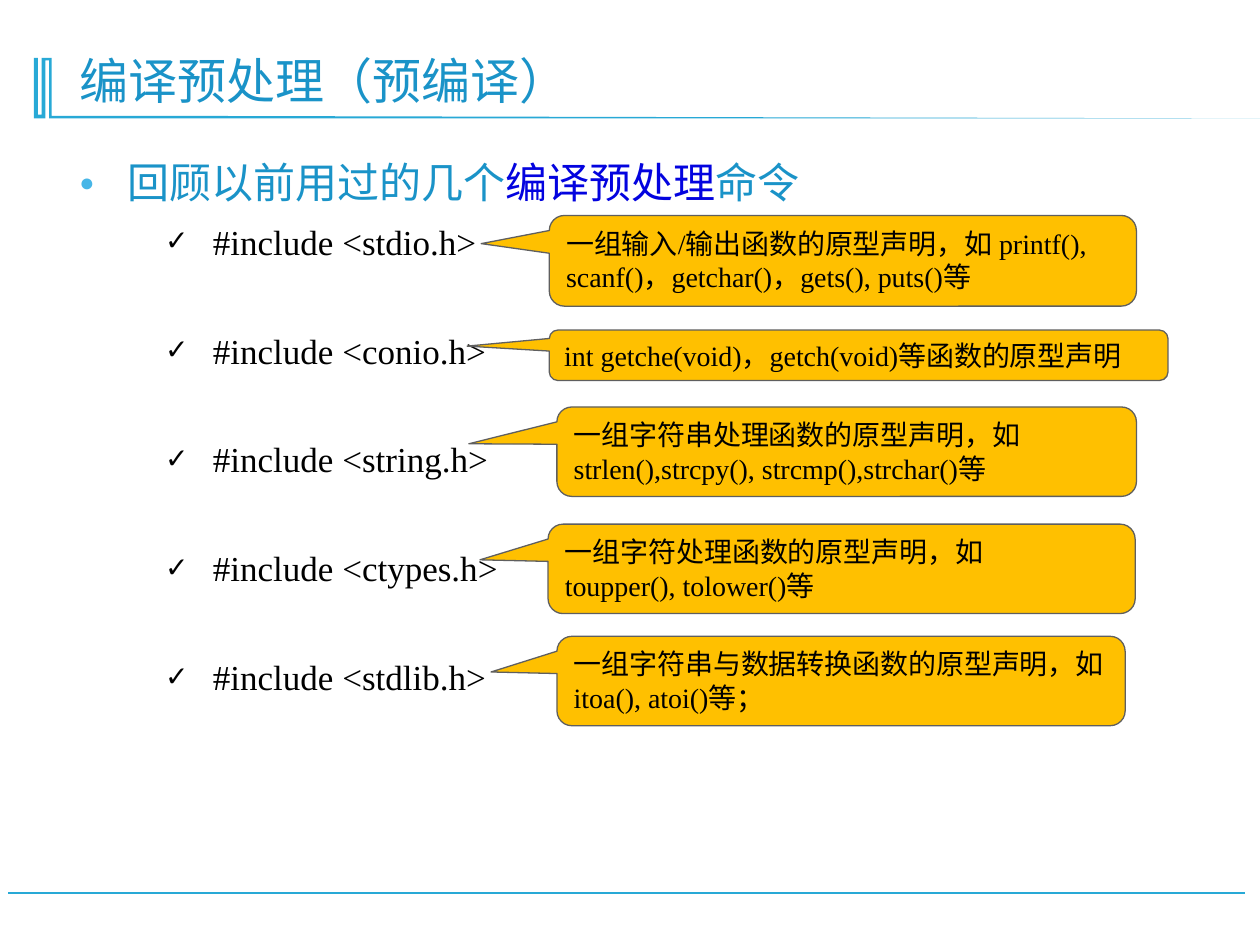
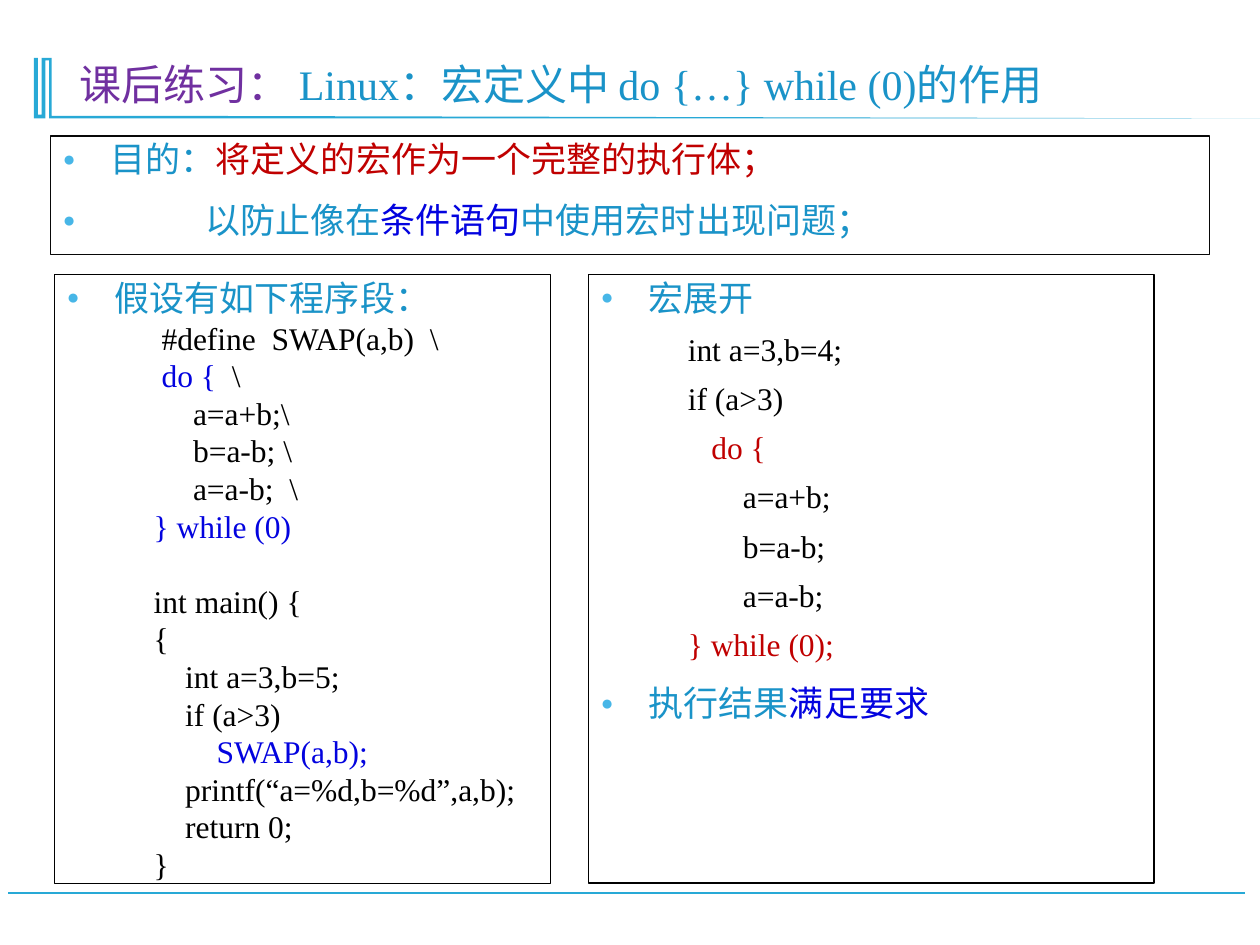
from lxml import etree
from pptx import Presentation
from pptx.dml.color import RGBColor
from pptx.enum import shapes, text
from pptx.oxml import ns
from pptx.util import Inches, Pt

COLORS = {
    "band": "28A9D6", "heading": "1A93C8", "bullet": "47B6E7", "code": "000000",
    "blue": "0303DF", "red": "C00000", "purple": "7030A0",
    "callout": "FFC000", "callout_edge": "5F5F5F", "goal_edge": "080808",
}
FONT = "Times New Roman"
TITLE_BOX = (0.53, 0.28, 8.85, 0.64)
BAND_OUTLINE = [
    (0.41, 0.46), (0.41, 0.92), (1.4, 0.92), (10, 0.94), (0.39, 0.94),
    (0.39, 0.48), (0.36, 0.48), (0.36, 0.94), (0.27, 0.94), (0.27, 0.46),
    (0.3, 0.46), (0.3, 0.91), (0.33, 0.91), (0.33, 0.46),
]
HEADERS = ["stdio", "conio", "string", "ctypes", "stdlib"]
CALLOUTS = [
    ((4.36, 1.71, 4.66, 0.72), (-0.616, -0.189),
     ["一组输入/输出函数的原型声明，如 printf(), scanf()，getchar()，gets(), puts()等"]),
    ((4.36, 2.62, 4.91, 0.4), (-0.633, -0.182),
     ["int getche(void)，getch(void)等函数的原型声明"]),
    ((4.42, 3.23, 4.6, 0.71), (-0.652, -0.088),
     ["一组字符串处理函数的原型声明，如strlen(),strcpy(), strcmp(),strchar()等"]),
    ((4.35, 4.16, 4.66, 0.71), (-0.616, -0.101),
     ["一组字符处理函数的原型声明，如", "toupper(), tolower()等"]),
    ((4.42, 5.05, 4.51, 0.71), (-0.616, -0.101),
     ["一组字符串与数据转换函数的原型声明，如itoa(), atoi()等；"]),
]
SWAP_MACRO = [
    [(" #define  SWAP(a,b)  \\", "code")],
    [(" ", "code"), ("do {", "blue"), ("  \\", "code")],
    [("     a=a+b;\\", "code")],
    [("     b=a-b; \\", "code")],
    [("     a=a-b;  \\", "code")],
    [("} while (0)", "blue")],
]
MAIN_PROGRAM = [
    [("int main() {", "code")],
    [("{", "code")],
    [("    int a=3,b=5;", "code")],
    [("    if (a>3)", "code")],
    [("        SWAP(a,b);", "blue")],
    [("    printf(“a=%d,b=%d”,a,b);", "code")],
    [("    return 0;", "code")],
    [("}", "code")],
]
EXPANDED = [
    [("int a=3,b=4;", "code")],
    [("if (a>3)", "code")],
    [("   ", "code"), ("do {", "red")],
    [("       a=a+b;", "code")],
    [("       b=a-b;", "code")],
    [("       a=a-b;", "code")],
    [("} while (0);", "red")],
]


def rgb(name):
    return RGBColor.from_string(COLORS[name])


def place(shape, box):
    shape.left, shape.top, shape.width, shape.height = map(Inches, box)


def prepare(frame, anchor=text.MSO_ANCHOR.TOP):
    frame.word_wrap = True
    frame.auto_size = text.MSO_AUTO_SIZE.NONE
    frame.vertical_anchor = anchor
    frame.margin_left = frame.margin_right = Inches(0.1)
    frame.margin_top = frame.margin_bottom = Inches(0.05)


def next_para(frame):
    first = frame.paragraphs[0]
    return first if not first.runs else frame.add_paragraph()


def add_spans(para, spans, size):
    para.alignment = text.PP_ALIGN.LEFT
    for words, color in spans:
        span = para.add_run()
        span.text = words
        span.font.name = FONT
        span.font.size = Pt(size)
        span.font.color.rgb = rgb(color)


def set_bullet(para, left, hang, char=None, percent=100, color=None):
    props = para._p.get_or_add_pPr()
    props.set("marL", str(Inches(left)))
    props.set("indent", str(Inches(-hang)))

    def child(parent, tag, **values):
        return etree.SubElement(parent, ns.qn(tag), **values)

    if char is None:
        child(props, "a:buNone")
        return
    if color:
        child(child(props, "a:buClr"), "a:srgbClr", val=COLORS[color])
    child(props, "a:buSzPct", val=str(percent * 1000))
    child(props, "a:buFont", typeface="Arial")
    child(props, "a:buChar", char=char)


def add_heading(frame, spans, size=20, left=0.38):
    para = next_para(frame)
    first = len(frame.paragraphs) == 1
    set_bullet(para, left, left, "●", 60, "bullet")
    para.line_spacing = 0.9
    para.space_before = Pt(0 if first else 13.5)
    add_spans(para, spans, size)


def add_code(frame, lines, spacing, gap=0):
    for number, spans in enumerate(lines):
        para = next_para(frame)
        para.level = 1
        set_bullet(para, 0.69, 0)
        para.line_spacing = Pt(spacing)
        para.space_before = Pt(0 if number else gap)
        add_spans(para, spans, 18)


def add_bands(page, layout):
    builder = page.shapes.build_freeform(*map(Inches, BAND_OUTLINE[0]), scale=1)
    builder.add_line_segments([(Inches(x), Inches(y)) for x, y in BAND_OUTLINE[1:]])
    band = builder.convert_to_shape()
    band.shadow.inherit = False
    band.fill.solid()
    band.fill.fore_color.rgb = rgb("band")
    band.line.fill.background()
    rule = page.shapes.add_connector(
        shapes.MSO_CONNECTOR.STRAIGHT, *map(Inches, (9.88, 7.09, 0.06, 7.09)))
    rule.line.color.rgb = rgb("band")
    rule.line.width = Pt(1.25)
    etree.SubElement(rule.element.spPr, ns.qn("a:effectLst"))
    for shape in (band, rule):
        layout.shapes.element.append(shape.element)


def add_title(page, spans, size):
    title = page.shapes.title
    place(title, TITLE_BOX)
    prepare(title.text_frame, text.MSO_ANCHOR.BOTTOM)
    para = title.text_frame.paragraphs[0]
    para.line_spacing = 0.9
    add_spans(para, spans, size)


def fill_body(page, box):
    body = page.placeholders[1]
    place(body, box)
    prepare(body.text_frame)
    return body


def outline(shape, color="code"):
    shape.fill.background()
    shape.line.color.rgb = rgb(color)
    shape.line.width = Pt(0.75)


def add_panel(page, box, color="code"):
    panel = page.shapes.add_shape(shapes.MSO_SHAPE.RECTANGLE, *map(Inches, box))
    panel.shadow.inherit = False
    outline(panel, color)
    prepare(panel.text_frame)
    return panel.text_frame


def add_callout(page, box, tip, lines):
    callout = page.shapes.add_shape(
        shapes.MSO_SHAPE.ROUNDED_RECTANGULAR_CALLOUT, *map(Inches, box))
    callout.shadow.inherit = False
    for index, value in enumerate((*tip, 0.167)):
        callout.adjustments[index] = value
    outline(callout, "callout_edge")
    callout.fill.solid()
    callout.fill.fore_color.rgb = rgb("callout")
    prepare(callout.text_frame)
    for line in lines:
        add_spans(next_para(callout.text_frame), [(line, "code")], 16)


def build_review(page):
    add_title(page, [("编译预处理（预编译）", "heading")], 28)
    frame = fill_body(page, (0.53, 1.24, 9.05, 5.85)).text_frame
    add_heading(frame, [("回顾以前用过的几个", "heading"), ("编译预处理", "blue"),
                        ("命令", "heading")], 24)
    for number, header in enumerate(HEADERS):
        para = next_para(frame)
        para.level = 1
        set_bullet(para, 1.06, 0.38, "✓", 80)
        para.line_spacing = Pt(31.1)
        para.space_before = Pt(31.1 if number else 0)
        add_spans(para, [(f"#include <{header}.h>", "code")], 20)
    for box, tip, lines in CALLOUTS:
        add_callout(page, box, tip, lines)


def build_exercise(page):
    add_title(page, [("课后练习： ", "purple"),
                     ("Linux：宏定义中 do {…} while (0)的作用", "heading")], 24)
    source = fill_body(page, (0.43, 2.18, 3.94, 4.83))
    outline(source)
    add_heading(source.text_frame, [("假设有如下程序段：", "heading")])
    add_code(source.text_frame, SWAP_MACRO, 21.5)
    add_code(source.text_frame, MAIN_PROGRAM, 21.5, gap=21.5)

    result = add_panel(page, (4.67, 2.18, 4.49, 4.83))
    add_heading(result, [("宏展开", "heading")])
    add_code(result, EXPANDED, 28.1)
    add_heading(result, [("执行结果", "heading"), ("满足要求", "blue")])

    goal = add_panel(page, (0.4, 1.08, 9.2, 0.94), "goal_edge")
    add_heading(goal, [("目的：", "heading"), ("将定义的宏作为一个完整的执行体；", "red")])
    add_heading(goal, [("以防止像在", "heading"), ("条件语句", "blue"),
                       ("中使用宏时出现问题；", "heading")], left=1.13)


def main():
    deck = Presentation()
    deck.slide_width, deck.slide_height = Inches(10), Inches(7.5)
    layout = deck.slide_layouts[1]
    review, exercise = (deck.slides.add_slide(layout) for _ in range(2))
    add_bands(review, layout)
    build_review(review)
    build_exercise(exercise)
    deck.save("out.pptx")


if __name__ == "__main__":
    main()
